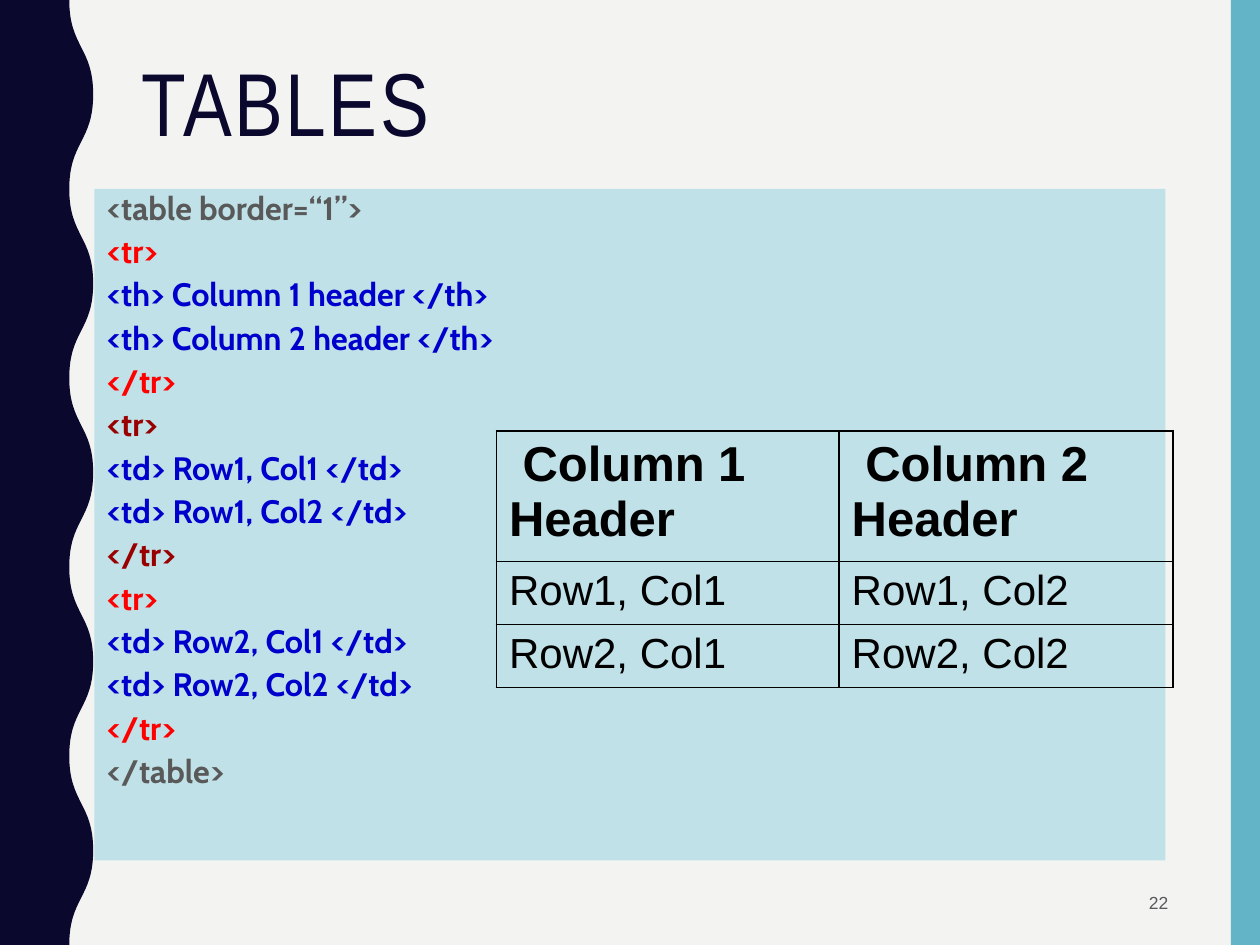
from lxml import etree
from pptx import Presentation
from pptx.dml.color import RGBColor
from pptx.enum import shapes, text
from pptx.oxml import ns
from pptx.util import Inches, Pt

# Content
TITLE = "TABLES"
PAGE_NUMBER = "22"
CODE_LINES = [
    ("<table border=“1”>", "grey"),
    ("<tr>", "red"),
    ("<th> Column 1 header </th>", "blue"),
    ("<th> Column 2 header </th>", "blue"),
    ("</tr>", "red"),
    ("<tr>", "maroon"),
    ("<td> Row1, Col1 </td>", "blue"),
    ("<td> Row1, Col2 </td>", "blue"),
    ("</tr>", "maroon"),
    ("<tr>", "red"),
    ("<td> Row2, Col1 </td>", "blue"),
    ("<td> Row2, Col2 </td>", "blue"),
    ("</tr>", "red"),
    ("</table>", "grey"),
]
TABLE_ROWS = [
    (" Column 1 Header", " Column 2 Header"),
    ("Row1, Col1", "Row1, Col2"),
    ("Row2, Col1", "Row2, Col2"),
]
COLUMN_WIDTHS = (2.72, 2.65)
ROW_HEIGHTS = (1.03, 0.5, 0.5)

THEME = {
    "colours": {"background": "F3F3F2", "navy": "0B082E", "teal": "62B4C6",
                "panel": "C0E1E8", "grey": "595959", "red": "FF0000",
                "blue": "0000CC", "maroon": "990000", "black": "000000"},
    "fonts": {"title": "Arial Narrow", "code": "Cabin", "table": "Arial"},
    "sizes": {"title": 51, "code": 18.5, "header": 28, "cell": 24, "number": 10},
}


def colour(name):
    return RGBColor.from_string(THEME["colours"][name])


def add_run(paragraph, words, font, size, ink, bold=False):
    run = paragraph.add_run()
    run.text = words
    run.font.name = THEME["fonts"][font]
    run.font.size = Pt(THEME["sizes"][size])
    run.font.color.rgb = colour(ink)
    run.font.bold = bold
    return run


def paint(shape, name):
    shape.shadow.inherit = False
    shape.fill.solid()
    shape.fill.fore_color.rgb = colour(name)
    shape.line.fill.background()


def add_panel(slide, left, top, width, height, name):
    panel = slide.shapes.add_shape(shapes.MSO_SHAPE.RECTANGLE, Inches(left),
                                   Inches(top), Inches(width), Inches(height))
    paint(panel, name)
    return panel


def add_wave(slide, inner=0.55, outer=0.74, half_wave=0.75, halves=10):
    """Band on the left whose right edge swings between inner and outer."""
    edge = [(Inches(outer if half % 2 else inner), Inches(half * half_wave))
            for half in range(halves + 1)]
    builder = slide.shapes.build_freeform(0, 0, scale=1.0)
    builder.add_line_segments([*edge, (0, edge[-1][1])], close=True)
    wave = builder.convert_to_shape()
    paint(wave, "navy")

    # Turn each straight piece of the edge into one curve
    segments = list(wave._element.iter(ns.qn("a:lnTo")))[1:halves + 1]
    for segment, (x1, y1), (x2, y2) in zip(segments, edge, edge[1:]):
        middle = (y1 + y2) // 2
        curve = etree.Element(ns.qn("a:cubicBezTo"))
        for x, y in ((x1, middle), (x2, middle), (x2, y2)):
            etree.SubElement(curve, ns.qn("a:pt"), x=str(x), y=str(y))
        segment.getparent().replace(segment, curve)


def border_cell(cell):
    properties = cell._tc.get_or_add_tcPr()
    for position, side in enumerate(("lnL", "lnR", "lnT", "lnB")):
        line = etree.Element(ns.qn(f"a:{side}"), w=str(Pt(1)))
        fill = etree.SubElement(line, ns.qn("a:solidFill"))
        etree.SubElement(fill, ns.qn("a:srgbClr"), val=THEME["colours"]["black"])
        properties.insert(position, line)


def add_title(slide):
    title = slide.shapes.title
    title.left, title.top = Inches(1.02), Inches(0.42)
    title.width, title.height = Inches(8.35), Inches(1.63)
    frame = title.text_frame
    frame.auto_size = text.MSO_AUTO_SIZE.NONE
    frame.vertical_anchor = text.MSO_ANCHOR.TOP
    paragraph = frame.paragraphs[0]
    paragraph.alignment = text.PP_ALIGN.LEFT
    paragraph.line_spacing = 0.9
    run = add_run(paragraph, TITLE, "title", "title", "navy")
    run.font._element.set("spc", "150")


def add_code(slide):
    frame = add_panel(slide, 0.75, 1.5, 8.5, 5.33, "panel").text_frame
    frame.word_wrap = True
    frame.vertical_anchor = text.MSO_ANCHOR.TOP
    for index, (words, ink) in enumerate(CODE_LINES):
        paragraph = frame.add_paragraph() if index else frame.paragraphs[0]
        paragraph.alignment = text.PP_ALIGN.LEFT
        paragraph.line_spacing = 0.8
        paragraph.space_before = Pt(7)
        properties = paragraph._p.get_or_add_pPr()
        properties.set("marL", str(Inches(0.25)))
        properties.set("indent", str(-Inches(0.25)))
        add_run(paragraph, words, "code", "code", ink, bold=True)


def add_result_table(slide):
    table = slide.shapes.add_table(
        len(ROW_HEIGHTS), len(COLUMN_WIDTHS), Inches(3.94), Inches(3.42),
        Inches(sum(COLUMN_WIDTHS)), Inches(sum(ROW_HEIGHTS))).table
    table.first_row = table.horz_banding = False
    for column, width in zip(table.columns, COLUMN_WIDTHS):
        column.width = Inches(width)
    for index, (row, height, values) in enumerate(
            zip(table.rows, ROW_HEIGHTS, TABLE_ROWS)):
        row.height = Inches(height)
        size = "cell" if index else "header"
        for cell, words in zip(row.cells, values):
            cell.fill.background()
            border_cell(cell)
            paragraph = cell.text_frame.paragraphs[0]
            paragraph.space_before = Pt(0.2 * THEME["sizes"][size])
            add_run(paragraph, words, "table", size, "black", bold=index == 0)


def add_page_number(slide):
    box = slide.shapes.add_textbox(Inches(7.06), Inches(6.97),
                                   Inches(2.31), Inches(0.38))
    frame = box.text_frame
    frame.word_wrap = True
    frame.vertical_anchor = text.MSO_ANCHOR.MIDDLE
    frame.paragraphs[0].alignment = text.PP_ALIGN.RIGHT
    add_run(frame.paragraphs[0], PAGE_NUMBER, "table", "number", "grey")


def main():
    presentation = Presentation()
    presentation.slide_width, presentation.slide_height = Inches(10), Inches(7.5)
    slide = presentation.slides.add_slide(presentation.slide_layouts[5])
    slide.background.fill.solid()
    slide.background.fill.fore_color.rgb = colour("background")

    # Side decoration
    add_panel(slide, 9.77, 0, 0.23, 7.5, "teal")
    add_wave(slide)

    # Code, title and the table it produces
    add_code(slide)
    add_page_number(slide)
    add_title(slide)
    add_result_table(slide)
    presentation.save("out.pptx")


if __name__ == "__main__":
    main()
